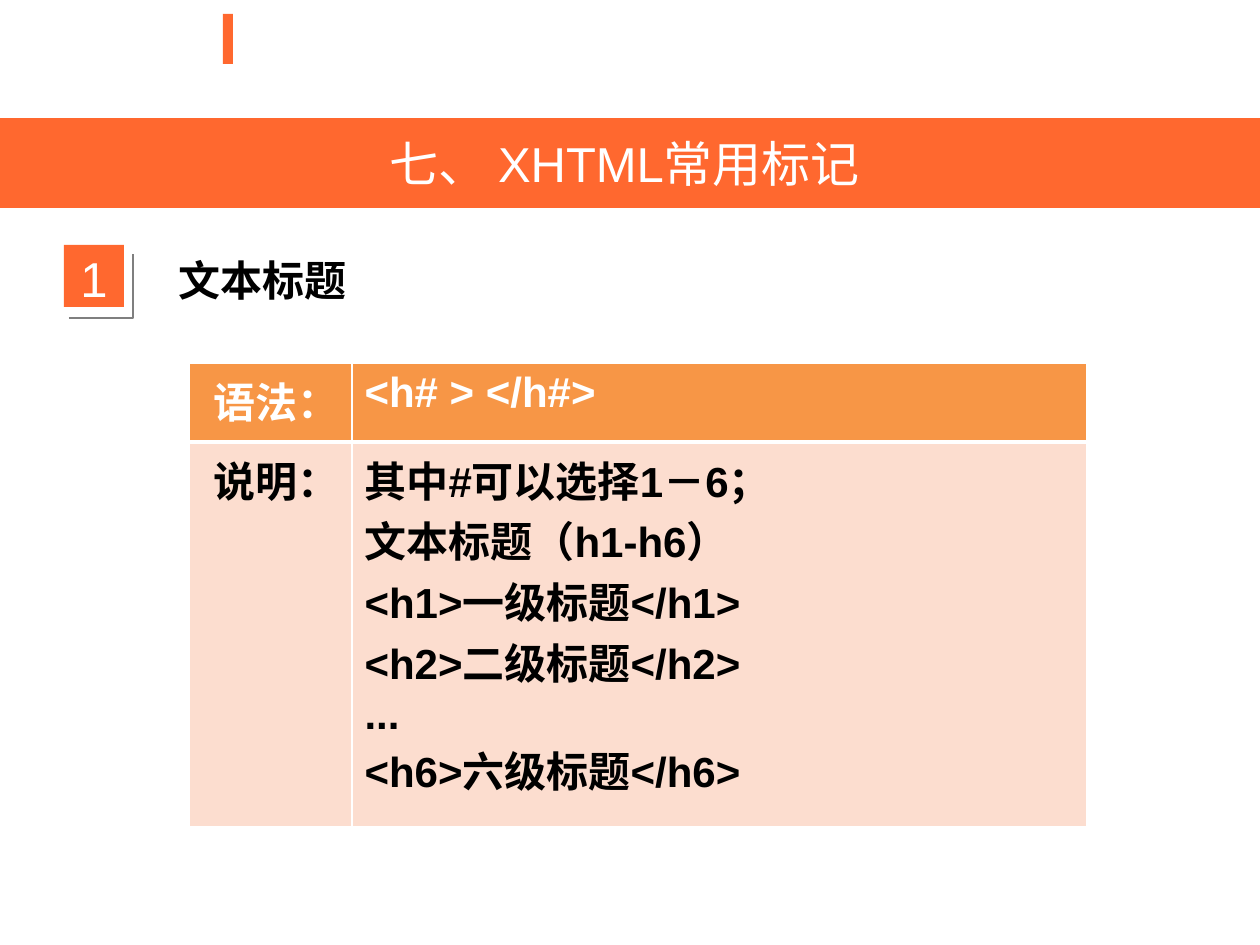
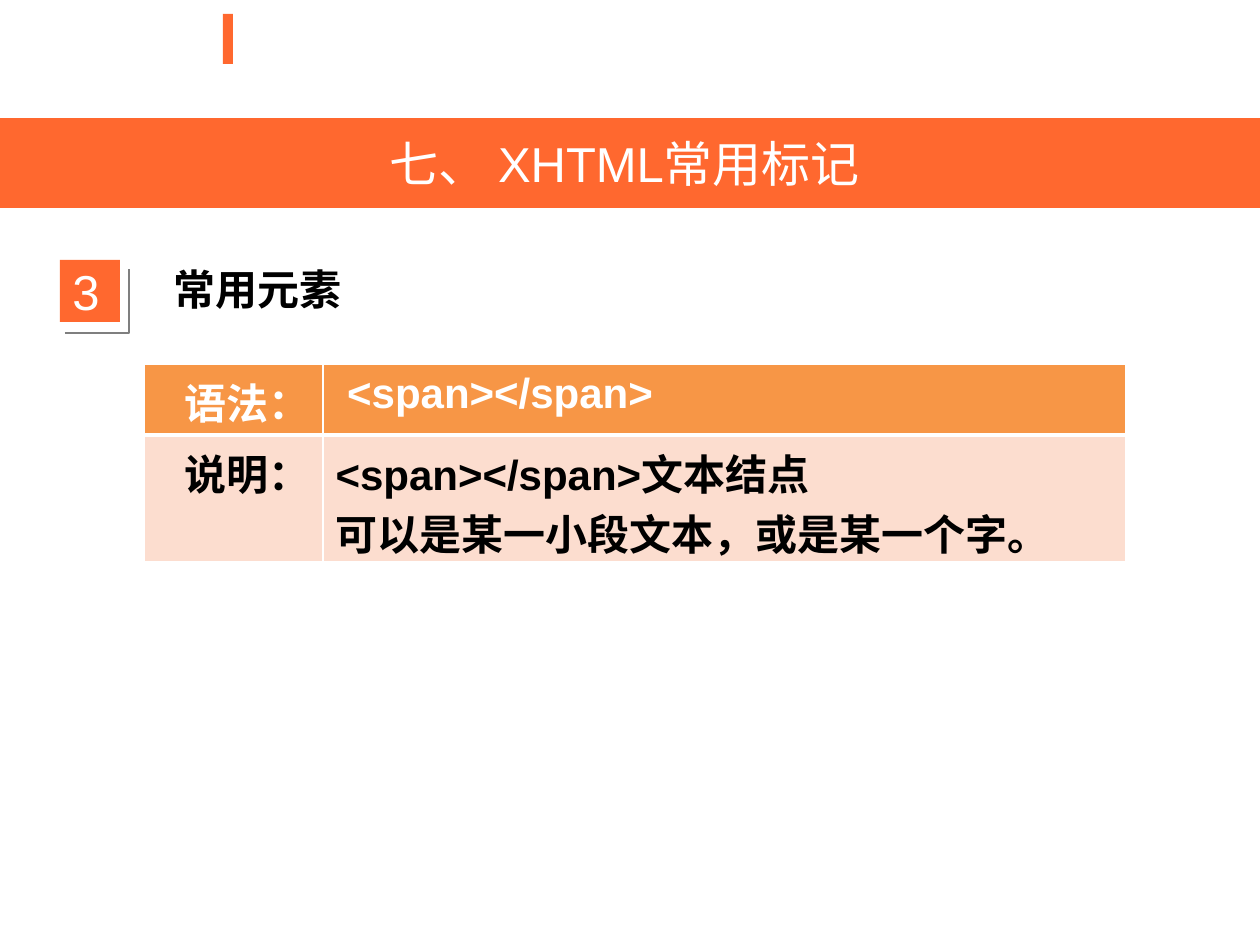
"""Build two slides on common XHTML elements, each with a syntax table."""
from dataclasses import dataclass

from lxml import etree
from pptx import Presentation
from pptx import util as u
from pptx.dml.color import RGBColor
from pptx.enum import shapes, text
from pptx.oxml.ns import qn

TITLE = "七、 XHTML常用标记\u00a0"
LABELS = ("语法：", "说明：")
TOPICS = [
    {
        "number": "1", "heading": "文本标题", "heading_font": "Arial",
        "badge": (64, 245), "digit": (68, 242), "heading_box": (166, 248, 969, 63),
        "table": (189, 363), "columns": (163, 735), "rows": (79, 385),
        "syntax": "<h# > </h#>",
        "notes": [
            "其中#可以选择1－6；", "文本标题（h1-h6）", "<h1>一级标题</h1>",
            "<h2>二级标题</h2>", "...", "<h6>六级标题</h6>",
        ],
    },
    {
        "number": "3", "heading": "常用元素", "heading_font": "Noto Sans CJK SC",
        "badge": (60, 260), "digit": (60, 255), "heading_box": (161, 257, 915, 63),
        "table": (144, 364), "columns": (179, 803), "rows": (71, 127),
        "syntax": "\u00a0<span></span>",
        "notes": ["<span></span>文本结点", "可以是某一小段文本，或是某一个字。"],
    },
]

SCALE = 914400 / 126
SLIDE_SIZE = (1260, 945)
BAR = (223, 14, 10, 50)
BAND = (0, 118, 1260, 90)
BADGE_SIZE = (60, 62)
DIGIT_SIZE = (49, 72)
FOLD = [(5, 73), (69, 73), (69, 9)]


@dataclass(frozen=True)
class Theme:
    """Colours, fonts and type sizes of the deck."""
    accent: str = "FF682F"
    header: str = "F79646"
    body: str = "FCDDCF"
    fold: str = "7F7F7F"
    white: str = "FFFFFF"
    black: str = "000000"
    latin: str = "Arial"
    asian: str = "Noto Sans CJK SC"
    large: int = 28
    medium: int = 24
    thin: int = 1
    thick: int = 3


THEME = Theme()


def px(*lengths):
    """Turn px lengths into EMU."""
    return [u.Emu(round(length * SCALE)) for length in lengths]


def paint(fill, color):
    """Give a fill one solid colour."""
    fill.solid()
    fill.fore_color.rgb = RGBColor.from_string(color)


def write(frame, lines, size, color, bold=False, align=text.PP_ALIGN.LEFT, font=THEME.latin):
    """Write one paragraph per line in one style."""
    frame.word_wrap = True
    for index, line in enumerate(lines):
        para = frame.paragraphs[0] if index == 0 else frame.add_paragraph()
        para.text = line
        para.alignment = align
        para.font.name = font
        para.font.size = u.Pt(size)
        para.font.bold = bold
        para.font.color.rgb = RGBColor.from_string(color)
        defaults = para._p.pPr.find(qn("a:defRPr"))
        latin = defaults.find(qn("a:latin"))
        asian = etree.Element(qn("a:ea"), typeface=THEME.asian)
        latin.addnext(asian)


def add_block(slide, bounds):
    """Add a plain accent rectangle."""
    block = slide.shapes.add_shape(shapes.MSO_SHAPE.RECTANGLE, *px(*bounds))
    block.shadow.inherit = False
    paint(block.fill, THEME.accent)
    block.line.fill.background()


def add_text(slide, bounds, words, size, color, **style):
    """Add a one-line text box."""
    box = slide.shapes.add_textbox(*px(*bounds))
    write(box.text_frame, [words], size, color, **style)


def add_title(slide):
    """Turn the title placeholder into the full-width band."""
    band = slide.shapes.title
    band.left, band.top, band.width, band.height = px(*BAND)
    paint(band.fill, THEME.accent)
    band.text_frame.vertical_anchor = text.MSO_ANCHOR.MIDDLE
    write(band.text_frame, [TITLE], THEME.large, THEME.white, align=text.PP_ALIGN.CENTER)


def add_fold(slide, left, top):
    """Draw the corner line behind a badge."""
    points = [(left + x, top + y) for x, y in FOLD]
    builder = slide.shapes.build_freeform(*points[0], scale=SCALE)
    builder.add_line_segments(points[1:], close=False)
    fold = builder.convert_to_shape()
    fold.shadow.inherit = False
    fold.fill.background()
    fold.line.color.rgb = RGBColor.from_string(THEME.fold)
    fold.line.width = u.Pt(THEME.thin)


def set_borders(cell, is_header):
    """Draw white cell borders with a thick rule under the header."""
    thick_side = "B" if is_header else "T"
    properties = cell._tc.get_or_add_tcPr()
    for index, side in enumerate("LRTB"):
        width = u.Pt(THEME.thick if side == thick_side else THEME.thin)
        line = etree.Element(qn(f"a:ln{side}"), w=str(width))
        solid = etree.SubElement(line, qn("a:solidFill"))
        etree.SubElement(solid, qn("a:srgbClr"), val=THEME.white)
        properties.insert(index, line)


def add_syntax_table(slide, topic):
    """Add the table with syntax above its explanation."""
    columns, rows = topic["columns"], topic["rows"]
    bounds = px(*topic["table"], sum(columns), sum(rows))
    table = slide.shapes.add_table(len(rows), len(columns), *bounds).table
    for column, width in zip(table.columns, px(*columns)):
        column.width = width
    for row, height in zip(table.rows, px(*rows)):
        row.height = height
    contents = zip(LABELS, ([topic["syntax"]], topic["notes"]))
    for row, (label, lines) in enumerate(contents):
        is_header = row == 0
        color = THEME.white if is_header else THEME.black
        for column, words in enumerate(([label], lines)):
            cell = table.cell(row, column)
            align = text.PP_ALIGN.LEFT if column else text.PP_ALIGN.RIGHT
            paint(cell.fill, THEME.header if is_header else THEME.body)
            set_borders(cell, is_header)
            write(cell.text_frame, words, THEME.medium, color, bold=True, align=align)


def add_topic(deck, topic):
    """Add one topic slide."""
    slide = deck.slides.add_slide(deck.slide_layouts[5])
    add_block(slide, BAR)
    add_title(slide)
    add_block(slide, topic["badge"] + BADGE_SIZE)
    add_text(slide, topic["digit"] + DIGIT_SIZE, topic["number"], THEME.large, THEME.white)
    add_fold(slide, *topic["badge"])
    add_text(slide, topic["heading_box"], topic["heading"], THEME.medium, THEME.black,
             bold=True, font=topic["heading_font"])
    add_syntax_table(slide, topic)


def main():
    """Build and save the deck."""
    deck = Presentation()
    deck.slide_width, deck.slide_height = px(*SLIDE_SIZE)
    for topic in TOPICS:
        add_topic(deck, topic)
    deck.save("out.pptx")


if __name__ == "__main__":
    main()
